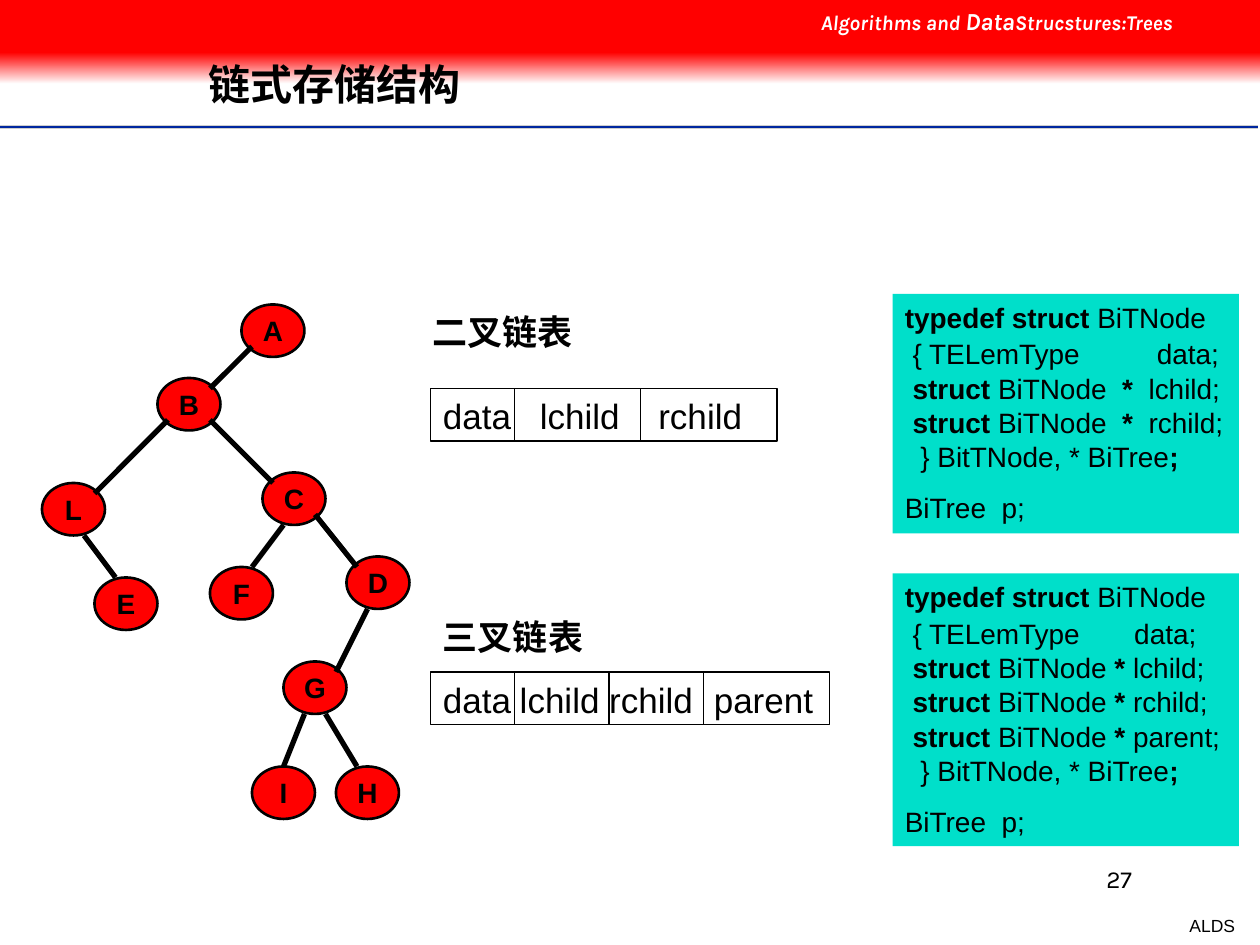
"""Build the slide on linked storage of binary trees, laid out on a grid of 120 columns by 90 rows."""
from dataclasses import dataclass
from typing import NamedTuple

from lxml.etree import SubElement
from pptx import Presentation
from pptx.dml.color import RGBColor
from pptx.enum.shapes import MSO_CONNECTOR, MSO_SHAPE
from pptx.enum.text import MSO_ANCHOR, PP_ALIGN
from pptx.oxml.ns import qn
from pptx.util import Inches, Pt

COLUMNS, ROWS = 120, 90
WIDTH, HEIGHT = Inches(10), Inches(7.5)
BLACK = RGBColor(0x00, 0x00, 0x00)
WHITE = RGBColor(0xFF, 0xFF, 0xFF)
RED = RGBColor(0xFF, 0x00, 0x00)
TEAL = RGBColor(0x00, 0xDF, 0xCA)
GREY = RGBColor(0xCE, 0xCE, 0xCE)
BLUE = RGBColor(0x00, 0x27, 0x9F)
NODE_WIDTH, NODE_HEIGHT, RECORD_HEIGHT = 6, 5, 5


class Area(NamedTuple):
    column: float
    row: float
    columns: float
    rows: float


class Span(NamedTuple):
    text: str
    bold: bool = False
    size: float = 16


@dataclass(frozen=True)
class Line:
    spans: tuple[Span, ...]
    before: float = 0
    spacing: float = 1
    tabs: tuple[float, ...] = ()


@dataclass(frozen=True)
class Label:
    area: Area
    line: Line
    font: str = "Arial"
    color: RGBColor = BLACK
    align: PP_ALIGN = PP_ALIGN.LEFT
    anchor: MSO_ANCHOR = MSO_ANCHOR.TOP
    italic: bool = False
    wrap: bool = True


@dataclass(frozen=True)
class Record:
    column: float
    row: float
    columns: float
    dividers: tuple[float, ...]
    fields: str
    tabs: tuple[float, ...]


def code_line(*spans: Span, tabs: tuple[float, ...] = ()) -> Line:
    """Return a tightly set line of code."""
    return Line(spans, 10, 0.5, tabs)


def pointer(star: str, name: str) -> Line:
    """Return the declaration of a node pointer."""
    return code_line(Span(" struct ", True), Span("BiTNode"), Span(star, True), Span(name))


def listing(data_tab: float, star: str, names: tuple[str, ...]) -> list[Line]:
    """Return the type definition of a tree node."""
    return [
        Line((Span("typedef struct ", True), Span("BiTNode")), 10),
        code_line(Span(" { TELemType\tdata;"), tabs=(data_tab,)),
        *(pointer(star, name) for name in names),
        code_line(Span("  } BitTNode, * BiTree"), Span(";", True)),
        Line((Span("BiTree  p;"),), 15, 0.8),
    ]


def heading(text: str, area: Area) -> Label:
    """Return the heading above a record."""
    return Label(area, Line((Span(text, True, 20),), 12.5))


TREE = {
    "A": (23, 29), "B": (15, 36), "C": (25, 45), "D": (33, 53), "E": (9, 55),
    "F": (20, 54), "G": (27, 63), "H": (32, 73), "I": (24, 73), "L": (4, 46),
}
BRANCHES = [
    (24, 33, 20, 37), (16, 40, 9, 47), (20, 40, 26, 46), (30, 49, 34, 54), (27, 50, 24, 54),
    (8, 51, 11, 55), (35, 58, 32, 64), (29, 68, 27, 73), (31, 68, 34, 73),
]
RULES = [(12.1, GREY, 2), (12.1, BLUE, 1), (12.35, WHITE, 1)]
RECORDS = [
    Record(41, 37, 33, (49, 61), "data\tlchild\trchild", (0.77, 1.71)),
    Record(41, 64, 38, (49, 58, 67), "data\tlchild\trchild\tparent", (0.61, 1.32, 2.15)),
]
LISTINGS = [
    (Area(85, 28, 33, 22.8), listing(2, "  *  ", ("lchild;", "rchild;"))),
    (Area(85, 54.6, 33, 26), listing(1.82, " * ", ("lchild;", "rchild;", "parent;"))),
]
LABELS = [
    Label(Area(112, 86.6, 6.8, 3.2), Line((Span("ALDS", size=10),), 6.2),
          align=PP_ALIGN.RIGHT, wrap=False),
    Label(Area(86, 81.7, 23, 6), Line((Span("27", size=14),)), "Karla", align=PP_ALIGN.RIGHT),
    Label(Area(77, 0, 43, 4),
          Line((Span("Algorithms and ", True, 12), Span("Data", True, 14),
                Span("Strucstures:Trees", True, 12)), 7.5),
          "Karla", WHITE, italic=True),
    Label(Area(18.7, 3.8, 90.6, 8.9), Line((Span("链式存储结构", True, 24),), spacing=0.9),
          anchor=MSO_ANCHOR.MIDDLE),
    heading("二叉链表", Area(40, 29, 35, 5.3)),
    heading("三叉链表", Area(41, 58, 39, 5.3)),
]


def place(area: Area) -> tuple[int, int, int, int]:
    """Turn a grid area into left, top, width and height."""
    return (int(WIDTH * area.column / COLUMNS), int(HEIGHT * area.row / ROWS),
            int(WIDTH * area.columns / COLUMNS), int(HEIGHT * area.rows / ROWS))


def write_line(para, line: Line, font: str = "Arial", color: RGBColor = BLACK,
               align: PP_ALIGN = PP_ALIGN.LEFT, italic: bool = False) -> None:
    """Fill a paragraph with the spans of a line."""
    para.alignment = align
    para.space_before = Pt(line.before)
    para.line_spacing = line.spacing
    if line.tabs:
        stops = SubElement(para._p.get_or_add_pPr(), qn("a:tabLst"))
        for tab in line.tabs:
            SubElement(stops, qn("a:tab"), pos=str(Inches(tab)), algn="l")
    for span in line.spans:
        run = para.add_run()
        run.text = span.text
        run.font.name, run.font.size = font, Pt(span.size)
        run.font.bold, run.font.italic = span.bold, italic
        run.font.color.rgb = color


def draw_label(page, label: Label) -> None:
    """Draw a line of text in a box of its own."""
    frame = page.shapes.add_textbox(*place(label.area)).text_frame
    frame.word_wrap, frame.vertical_anchor = label.wrap, label.anchor
    write_line(frame.paragraphs[0], label.line, label.font, label.color,
               label.align, label.italic)


def draw_shape(page, kind: MSO_SHAPE, area: Area, fill: RGBColor, weight: float = 0):
    """Draw a filled shape, outlined in black when a weight is given."""
    shape = page.shapes.add_shape(kind, *place(area))
    shape.shadow.inherit = False
    shape.fill.solid()
    shape.fill.fore_color.rgb = fill
    if weight:
        shape.line.color.rgb, shape.line.width = BLACK, Pt(weight)
    else:
        shape.line.fill.background()
    return shape


def draw_line(page, start: tuple[float, float], end: tuple[float, float],
              color: RGBColor, weight: float) -> None:
    """Draw a straight line between two grid points."""
    left, top, right, bottom = place(Area(*start, *end))
    line = page.shapes.add_connector(MSO_CONNECTOR.STRAIGHT, left, top, right, bottom)
    line.line.color.rgb, line.line.width = color, Pt(weight)
    SubElement(line._element.spPr, qn("a:effectLst"))


def draw_banner(page) -> None:
    """Draw the red band fading to white and the rules below it."""
    for row, color, weight in RULES:
        draw_line(page, (0, row), (119.8, row), color, weight)
    fade = draw_shape(page, MSO_SHAPE.RECTANGLE, Area(0, 5, COLUMNS, 3), RED)
    fade.fill.gradient()
    fade.fill.gradient_angle = 270
    for stop, position, color in zip(fade.fill.gradient_stops, (0, 1), (RED, WHITE)):
        stop.position, stop.color.rgb = position, color
    draw_shape(page, MSO_SHAPE.RECTANGLE, Area(0, 0, COLUMNS, 5), RED)


def draw_tree(page) -> None:
    """Draw the tree nodes and the branches between them."""
    for name, corner in TREE.items():
        area = Area(*corner, NODE_WIDTH, NODE_HEIGHT)
        frame = draw_shape(page, MSO_SHAPE.OVAL, area, RED, 1.5).text_frame
        frame.word_wrap, frame.vertical_anchor = False, MSO_ANCHOR.MIDDLE
        write_line(frame.paragraphs[0], Line((Span(name, True),)), align=PP_ALIGN.CENTER)
    for left, top, right, bottom in BRANCHES:
        draw_line(page, (left, top), (right, bottom), BLACK, 3)


def draw_record(page, record: Record) -> None:
    """Draw the fields of a node record and their dividers."""
    area = Area(record.column, record.row, record.columns, RECORD_HEIGHT)
    draw_shape(page, MSO_SHAPE.RECTANGLE, area, WHITE, 0.75)
    draw_label(page, Label(area, Line((Span(record.fields, size=20),), 12.5, tabs=record.tabs)))
    for column in record.dividers:
        draw_line(page, (column, record.row), (column, record.row + RECORD_HEIGHT), BLACK, 0.75)


def draw_listing(page, area: Area, lines: list[Line]) -> None:
    """Draw a code listing on a teal panel."""
    frame = draw_shape(page, MSO_SHAPE.RECTANGLE, area, TEAL).text_frame
    frame.word_wrap, frame.vertical_anchor = True, MSO_ANCHOR.TOP
    for number, line in enumerate(lines):
        write_line(frame.add_paragraph() if number else frame.paragraphs[0], line)


def main() -> None:
    """Build and save the deck."""
    deck = Presentation()
    deck.slide_width, deck.slide_height = WIDTH, HEIGHT
    page = deck.slides.add_slide(deck.slide_layouts[6])
    draw_banner(page)
    draw_tree(page)
    for record in RECORDS:
        draw_record(page, record)
    for area, lines in LISTINGS:
        draw_listing(page, area, lines)
    for label in LABELS:
        draw_label(page, label)
    deck.save("out.pptx")


if __name__ == "__main__":
    main()
